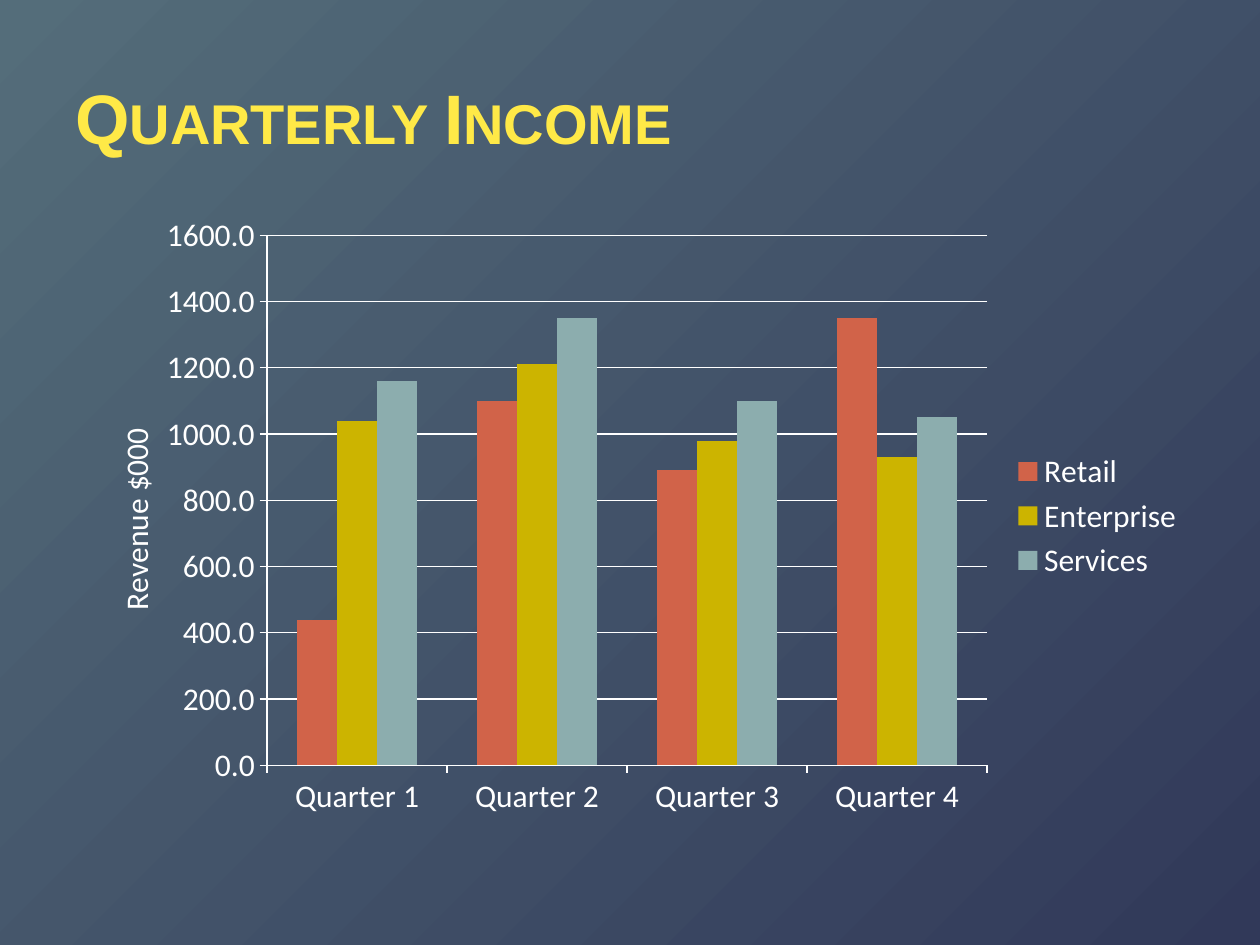
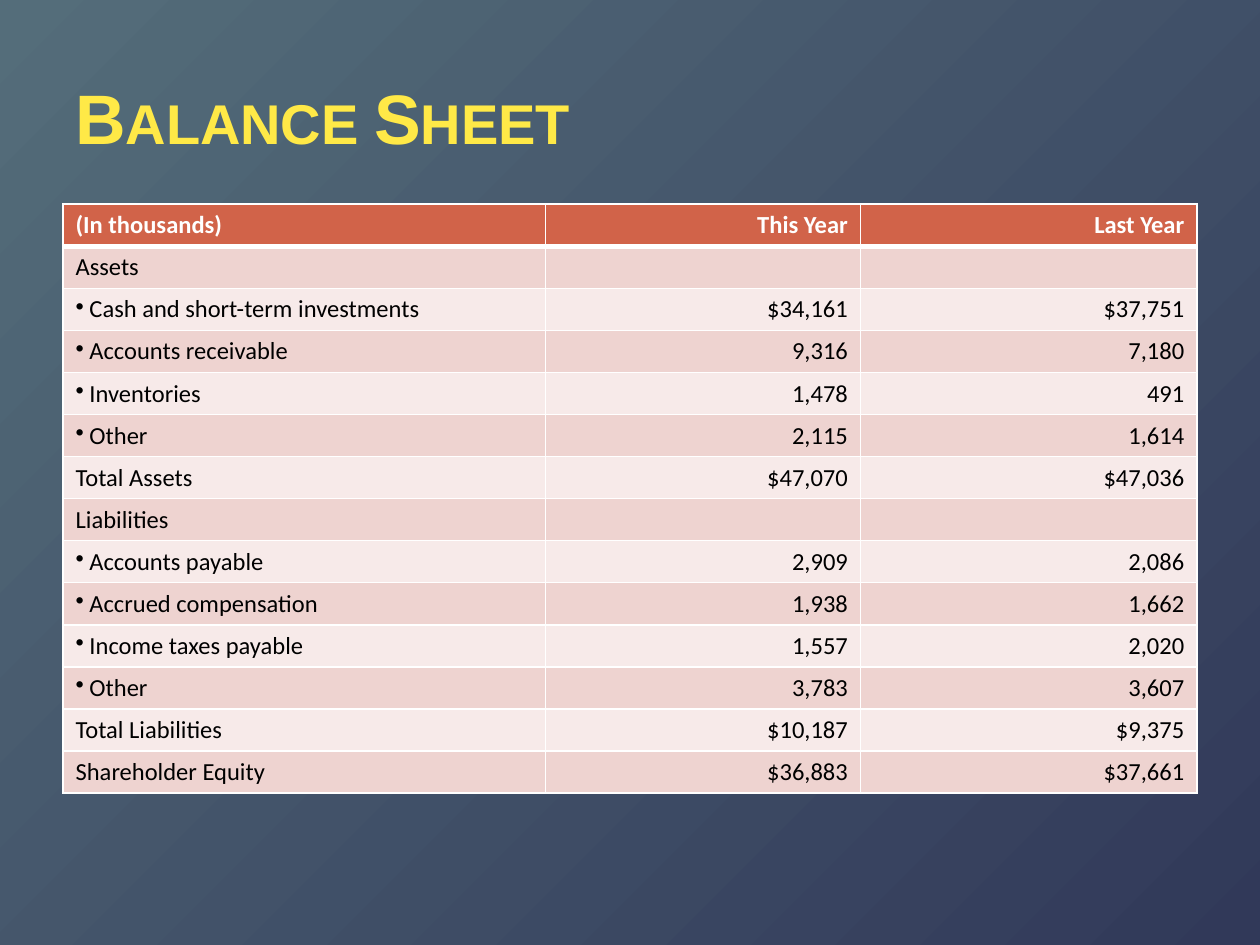
from lxml import etree
from pptx import Presentation
from pptx.chart.data import CategoryChartData
from pptx.dml.color import RGBColor
from pptx.enum.chart import XL_CHART_TYPE, XL_LEGEND_POSITION, XL_TICK_MARK
from pptx.enum.text import MSO_ANCHOR, PP_ALIGN
from pptx.oxml import parse_xml
from pptx.oxml.ns import nsdecls, qn
from pptx.util import Inches, Pt

COLUMNS = XL_CHART_TYPE.COLUMN_CLUSTERED
LEGEND_RIGHT = XL_LEGEND_POSITION.RIGHT
TICK_OUTSIDE = XL_TICK_MARK.OUTSIDE
MIDDLE = MSO_ANCHOR.MIDDLE
LEFT, RIGHT = PP_ALIGN.LEFT, PP_ALIGN.RIGHT

SLATE = RGBColor(0x54, 0x6D, 0x7A)
NAVY = RGBColor(0x31, 0x39, 0x59)
YELLOW = RGBColor(0xFF, 0xE9, 0x47)
WHITE = RGBColor(0xFF, 0xFF, 0xFF)
BLACK = RGBColor(0x00, 0x00, 0x00)
RUST = RGBColor(0xD1, 0x63, 0x49)
GOLD = RGBColor(0xCC, 0xB4, 0x00)
SAGE = RGBColor(0x8C, 0xAD, 0xAE)
ROSE = RGBColor(0xEE, 0xD3, 0xD0)
BLUSH = RGBColor(0xF7, 0xEA, 0xE9)

HEADING_FONT, BODY_FONT = "Arial", "Calibri"
SLIDE_WIDTH, SLIDE_HEIGHT = Inches(10), Inches(7.5)
MARGIN = int(SLIDE_WIDTH * 0.05)
CONTENT_WIDTH = SLIDE_WIDTH - 2 * MARGIN
TITLE_TOP, TITLE_HEIGHT = Inches(0.3), Inches(1.25)
CONTENT_TOP = Inches(1.62)
BULLET_INDENT = Inches(0.11)


def write_text(frame, text, size=14, font=BODY_FONT, color=BLACK, bold=False,
               align=LEFT, small_caps=False, bullet=False):
    paragraph = frame.paragraphs[0]
    paragraph.alignment = align
    if bullet:
        properties = paragraph._p.get_or_add_pPr()
        properties.set("marL", str(BULLET_INDENT))
        properties.set("indent", str(-BULLET_INDENT))
        etree.SubElement(properties, qn("a:buChar")).set("char", "•")
    if not text:
        paragraph._p.get_or_add_endParaRPr().set("sz", str(size * 100))
        return
    run = paragraph.add_run()
    run.text = text
    run.font.size = Pt(size)
    run.font.name = font
    run.font.bold = bold
    run.font.color.rgb = color
    if small_caps:
        run._r.get_or_add_rPr().set("cap", "small")


def set_layout(element, position, **shares):
    for previous in element.findall(qn("c:layout")):
        element.remove(previous)
    layout = parse_xml(f"<c:layout {nsdecls('c')}><c:manualLayout/></c:layout>")
    for tag, value in shares.items():
        etree.SubElement(layout[0], qn(f"c:{tag}")).set("val", str(value))
    element.insert(position, layout)


prs = Presentation()
prs.slide_width, prs.slide_height = SLIDE_WIDTH, SLIDE_HEIGHT

backdrop = prs.slide_master.background.fill
backdrop.gradient()
backdrop.gradient_angle = 315
for stop, color in zip(backdrop.gradient_stops, (SLATE, NAVY)):
    stop.color.rgb = color

slides = []
for heading in ("Quarterly Income", "Balance Sheet"):
    slide = prs.slides.add_slide(prs.slide_layouts[6])
    frame = slide.shapes.add_textbox(MARGIN, TITLE_TOP, CONTENT_WIDTH, TITLE_HEIGHT).text_frame
    frame.word_wrap = True
    frame.vertical_anchor = MIDDLE
    write_text(frame, heading, size=40, font=HEADING_FONT, color=YELLOW, bold=True,
               small_caps=True)
    slides.append(slide)
income_slide, balance_slide = slides

revenue = [
    ("Retail", RUST, (440, 1100, 890, 1350)),
    ("Enterprise", GOLD, (1040, 1210, 980, 930)),
    ("Services", SAGE, (1160, 1350, 1100, 1050)),
]
income = CategoryChartData(number_format="0.0")
income.categories = [f"Quarter {number}" for number in range(1, 5)]
for division, color, amounts in revenue:
    income.add_series(division, amounts)
chart = income_slide.shapes.add_chart(
    COLUMNS, MARGIN, CONTENT_TOP, CONTENT_WIDTH, Inches(4.95), income).chart
chart.font.size = Pt(18)
chart.font.name = BODY_FONT
chart.font.color.rgb = WHITE
chart.has_title = False
chart.has_legend = True
chart.legend.position = LEGEND_RIGHT
chart.legend.include_in_layout = False

bars = chart.plots[0]
bars.vary_by_categories = False
bars.gap_width = 150
bars.overlap = 0
for series, (division, color, amounts) in zip(bars.series, revenue):
    series.format.fill.solid()
    series.format.fill.fore_color.rgb = color

quarters, dollars = chart.category_axis, chart.value_axis
dollars.minimum_scale, dollars.maximum_scale, dollars.major_unit = 0, 1600, 200
dollars.tick_labels.number_format = "0.0"
dollars.tick_labels.number_format_is_linked = False
dollars.has_major_gridlines = True
for axis in (quarters, dollars):
    axis.major_tick_mark = TICK_OUTSIDE
for line in (quarters.format.line, dollars.format.line, dollars.major_gridlines.format.line):
    line.color.rgb = WHITE
    line.width = Pt(0.75)

axis_title = dollars.axis_title
write_text(axis_title.text_frame, "Revenue $000", size=18, color=WHITE)
axis_title.text_frame._txBody.bodyPr.set("rot", "-5400000")
axis_title.text_frame._txBody.bodyPr.set("vert", "horz")
set_layout(axis_title._element, 1, xMode="edge", yMode="edge", x=0.04, y=0.35)
set_layout(chart._chartSpace.chart.plotArea, 0, layoutTarget="inner",
           xMode="edge", yMode="edge", x=0.18, y=0.05, w=0.635, h=0.85)

balance_rows = [
    ("(In thousands)", "This Year", "Last Year"),
    ("Assets", "", ""),
    ("Cash and short-term investments", "$34,161", "$37,751"),
    ("Accounts receivable", "9,316", "7,180"),
    ("Inventories", "1,478", "491"),
    ("Other", "2,115", "1,614"),
    ("Total Assets", "$47,070", "$47,036"),
    ("Liabilities", "", ""),
    ("Accounts payable", "2,909", "2,086"),
    ("Accrued compensation", "1,938", "1,662"),
    ("Income taxes payable", "1,557", "2,020"),
    ("Other", "3,783", "3,607"),
    ("Total Liabilities", "$10,187", "$9,375"),
    ("Shareholder Equity", "$36,883", "$37,661"),
]
unbulleted = {"(In thousands)", "Assets", "Total Assets", "Liabilities",
              "Total Liabilities", "Shareholder Equity"}
balance = balance_slide.shapes.add_table(
    len(balance_rows), 3, MARGIN, CONTENT_TOP, CONTENT_WIDTH, Inches(4.67)).table
for column, width in zip(balance.columns, (3.83, 2.5, 2.67)):
    column.width = Inches(width)

for row, entries in enumerate(balance_rows):
    is_header = row == 0
    for col, entry in enumerate(entries):
        cell = balance.cell(row, col)
        write_text(cell.text_frame, entry, color=WHITE if is_header else BLACK,
                   bold=is_header, align=RIGHT if col else LEFT,
                   bullet=col == 0 and entry not in unbulleted)
        borders = {"L": 1, "R": 1, "T": 3 if row == 1 else 1, "B": 3 if is_header else 1}
        for side, weight in borders.items():
            cell._tc.get_or_add_tcPr().append(parse_xml(
                f'<a:ln{side} {nsdecls("a")} w="{Pt(weight)}"><a:solidFill>'
                f'<a:srgbClr val="{WHITE}"/></a:solidFill></a:ln{side}>'))
        cell.fill.solid()
        cell.fill.fore_color.rgb = RUST if is_header else ROSE if row % 2 else BLUSH

prs.save("out.pptx")
